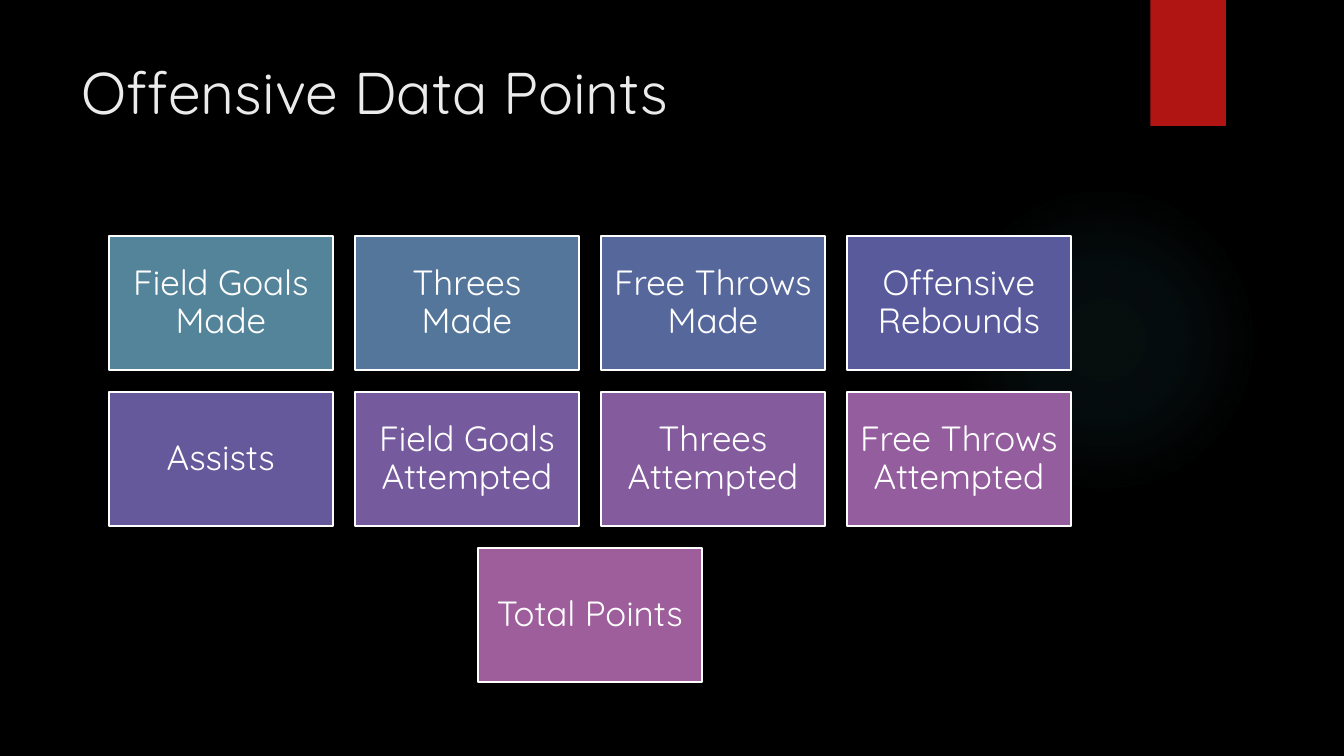
"""Build the slide of offensive data points."""
import dataclasses

import lxml.etree
import pptx
import pptx.dml.color
import pptx.enum.shapes
import pptx.enum.text
import pptx.oxml.ns
import pptx.util

Inches = pptx.util.Inches
Kind = pptx.enum.shapes.MSO_SHAPE
Anchor = pptx.enum.text.MSO_ANCHOR
Align = pptx.enum.text.PP_ALIGN


@dataclasses.dataclass(frozen=True)
class Theme:
    """Colours and type sizes."""
    font: str = "Quicksand"
    back: str = "000000"
    title: str = "EBEBEB"
    white: str = "FFFFFF"
    red: str = "B01513"
    glow: str = "50B9C1"
    head_size: int = 42
    card_size: int = 25
    edge: float = 1.5


class Deck:
    """Holds the style and the current slide."""

    def __init__(self, theme):
        """Start a deck with one title-only slide."""
        self.theme = theme
        self.file = pptx.Presentation()
        self.file.slide_width = Inches(13.33)
        self.file.slide_height = Inches(7.5)
        self.slide = self.file.slides.add_slide(self.file.slide_layouts[5])
        self.paint(self.slide.background.fill, theme.back)

    def paint(self, fill, color):
        """Give a fill one solid colour."""
        fill.solid()
        fill.fore_color.rgb = pptx.dml.color.RGBColor.from_string(color)

    def label(self, frame, text, size, color, align, anchor):
        """Set and format the text of a frame."""
        frame.text = text
        frame.word_wrap = True
        frame.auto_size = pptx.enum.text.MSO_AUTO_SIZE.NONE
        frame.vertical_anchor = anchor
        line = frame.paragraphs[0]
        line.alignment = align
        font = line.runs[0].font
        font.name = self.theme.font
        font.size = pptx.util.Pt(size)
        self.paint(font.fill, color)

    def title(self, text, left, top, width, height):
        """Place and fill the title."""
        head = self.slide.shapes.title
        head.left, head.top = Inches(left), Inches(top)
        head.width, head.height = Inches(width), Inches(height)
        self.label(head.text_frame, text, self.theme.head_size,
                   self.theme.title, Align.LEFT, Anchor.TOP)

    def shape(self, kind, left, top, width, height):
        """Add a bare shape without line or shadow."""
        shape = self.slide.shapes.add_shape(
            kind, Inches(left), Inches(top), Inches(width), Inches(height))
        shape.shadow.inherit = False
        shape.line.fill.background()
        return shape

    def block(self, color, *place):
        """Add a plain rectangle."""
        shape = self.shape(Kind.RECTANGLE, *place)
        self.paint(shape.fill, color)
        return shape

    def glow(self, stops, *place):
        """Add a round glow that fades by (position, opacity) in percent."""
        shape = self.shape(Kind.OVAL, *place)
        shape.fill.background()
        marks = "".join(
            f'<a:gs pos="{spot * 1000}"><a:srgbClr val="{self.theme.glow}">'
            f'<a:alpha val="{alpha * 1000}"/></a:srgbClr></a:gs>'
            for spot, alpha in stops)
        space = pptx.oxml.ns.nsdecls("a")
        fade = lxml.etree.fromstring(
            f'<a:gradFill {space}><a:gsLst>{marks}</a:gsLst><a:path path="circle">'
            '<a:fillToRect l="50000" t="50000" r="50000" b="50000"/>'
            '</a:path></a:gradFill>')
        props = shape.element.spPr
        props.replace(props.find(pptx.oxml.ns.qn("a:noFill")), fade)

    def card(self, text, color, *place):
        """Add an outlined card with centred text."""
        shape = self.block(color, *place)
        self.paint(shape.line.fill, self.theme.white)
        shape.line.width = pptx.util.Pt(self.theme.edge)
        frame = shape.text_frame
        frame.margin_left = frame.margin_right = Inches(0.1)
        frame.margin_top = frame.margin_bottom = Inches(0.1)
        self.label(frame, text, self.theme.card_size, self.theme.white,
                   Align.CENTER, Anchor.MIDDLE)
        frame.paragraphs[0].line_spacing = 0.9

    def grid(self, rows, left, top, width, height, gap):
        """Lay out rows of cards, each row centred on the widest."""
        most = max(len(row) for row in rows)
        step = width + gap
        for down, row in enumerate(rows):
            start = left + (most - len(row)) * step / 2
            for across, (text, color) in enumerate(row):
                self.card(text, color, start + across * step,
                          top + down * (height + gap), width, height)


ROWS = [
    [("Field Goals Made", "54849A"), ("Threes Made", "55769B"),
     ("Free Throws Made", "56689B"), ("Offensive Rebounds", "585A9C")],
    [("Assists", "65599C"), ("Field Goals Attempted", "755A9D"),
     ("Threes Attempted", "845B9D"), ("Free Throws Attempted", "935D9E")],
    [("Total Points", "9E5E9B")],
]


def main():
    """Build and save the deck."""
    deck = Deck(Theme())
    deck.glow([(0, 7), (36, 6), (69, 0)], 9.41, 1.83, 3.08, 3.08)
    deck.block(deck.theme.red, 11.41, 0, 0.75, 1.25)
    deck.title("Offensive Data Points", 0.71, 0.5, 10.29, 1.53)
    deck.grid(ROWS, 1.08, 2.34, 2.22, 1.33, 0.22)
    deck.file.save("out.pptx")


if __name__ == "__main__":
    main()
